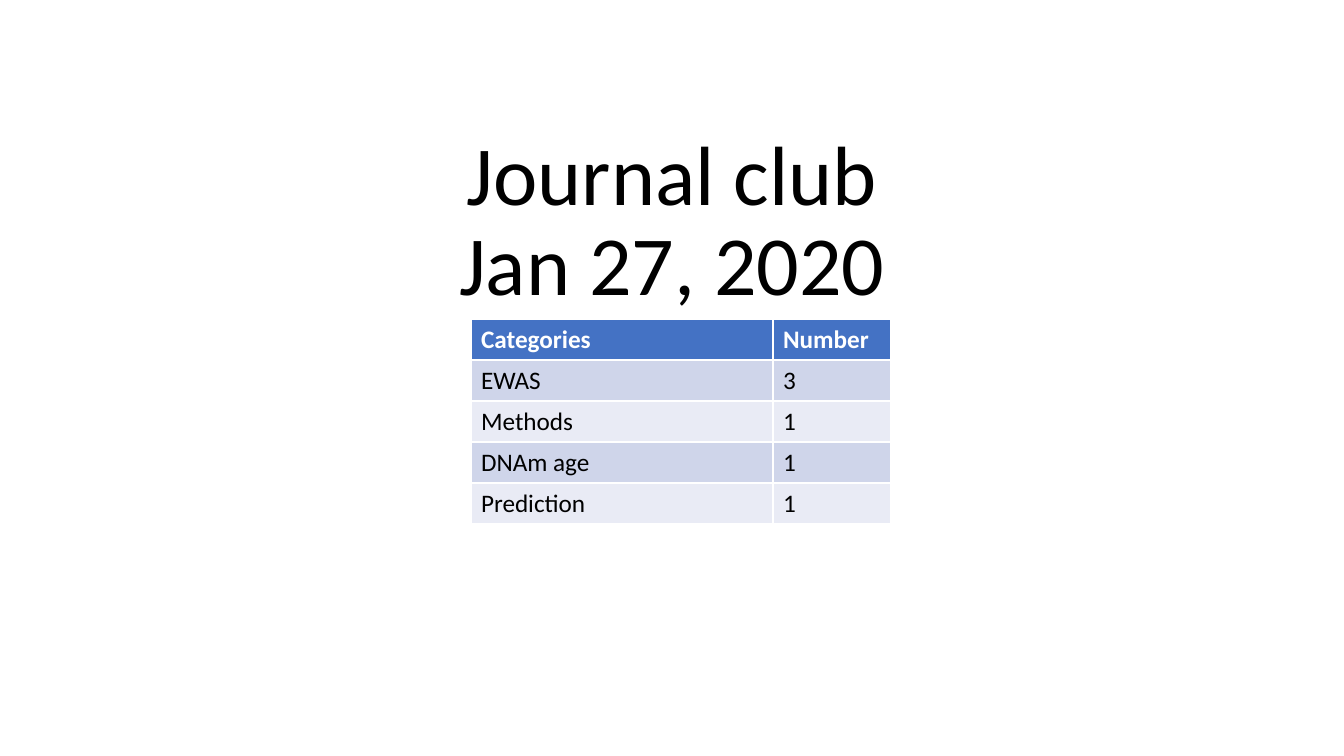
from pptx import Presentation, util as u
from pptx.dml.color import RGBColor
from pptx.enum import text

SCALE = 914400 / 100.8
HEADER_FILL, BAND_FILLS = "4472C4", ("CFD5EA", "E9EBF5")
ROWS = [
    ("Categories", "Number"),
    ("EWAS", "3"),
    ("Methods", "1"),
    ("DNAm age", "1"),
    ("Prediction", "1"),
]
COLUMN_WIDTHS = (302, 118)
ROW_HEIGHT = 41


def px(length):
    """Turn pixels into EMU."""
    return u.Emu(round(length * SCALE))


def color(hex_string):
    """Turn a hex string into a colour."""
    return RGBColor.from_string(hex_string)


presentation = Presentation()
presentation.slide_width, presentation.slide_height = px(1344), px(756)
slide = presentation.slides.add_slide(presentation.slide_layouts[5])

title = slide.shapes.title
title.left, title.top, title.width, title.height = px(168), px(56), px(1008), px(263)
frame = title.text_frame
frame.auto_size = text.MSO_AUTO_SIZE.NONE
frame.vertical_anchor = text.MSO_ANCHOR.BOTTOM
paragraph = frame.paragraphs[0]
paragraph.text = "Journal club\vJan 27, 2020"
paragraph.alignment = text.PP_ALIGN.CENTER
paragraph.line_spacing = 0.9
paragraph.font.name = "Calibri"
paragraph.font.size = u.Pt(60)
paragraph.font.color.rgb = color("000000")

# The default table style supplies the white cell borders.
table = slide.shapes.add_table(
    len(ROWS), len(COLUMN_WIDTHS), px(471), px(319),
    px(sum(COLUMN_WIDTHS)), px(ROW_HEIGHT * len(ROWS)),
).table
for column, width in zip(table.columns, COLUMN_WIDTHS):
    column.width = px(width)

for row_index, values in enumerate(ROWS):
    is_header = row_index == 0
    fill = HEADER_FILL if is_header else BAND_FILLS[(row_index - 1) % 2]
    for column_index, value in enumerate(values):
        cell = table.cell(row_index, column_index)
        cell.fill.solid()
        cell.fill.fore_color.rgb = color(fill)
        paragraph = cell.text_frame.paragraphs[0]
        paragraph.text = value
        paragraph.font.name = "Calibri"
        paragraph.font.size = u.Pt(18)
        paragraph.font.bold = is_header
        paragraph.font.color.rgb = color("FFFFFF" if is_header else "000000")

presentation.save("out.pptx")
